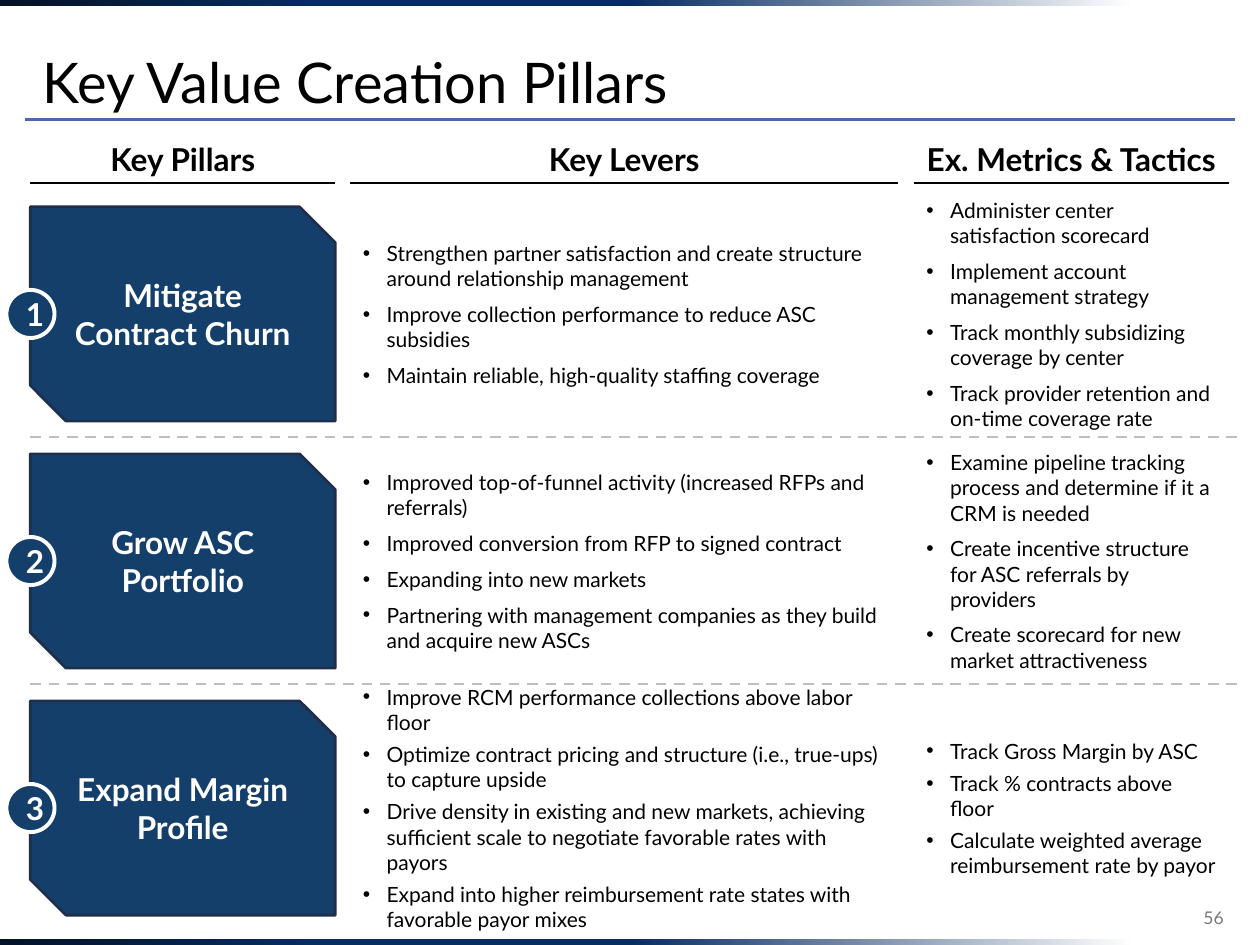
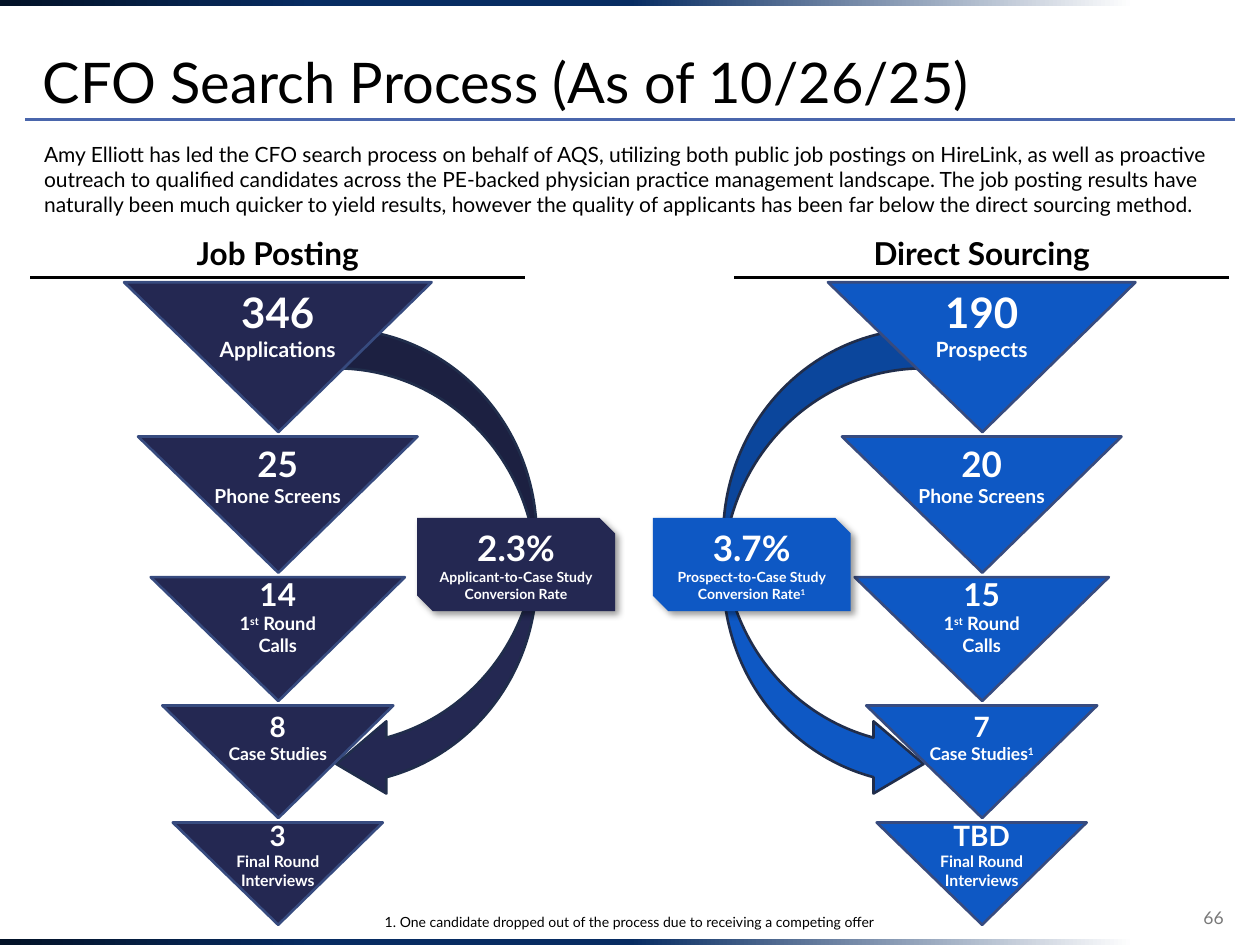
from copy import deepcopy
from dataclasses import dataclass

from pptx import Presentation
from pptx.dml.color import RGBColor
from pptx.enum.dml import MSO_LINE
from pptx.enum.shapes import MSO_CONNECTOR, MSO_SHAPE as SHAPE
from pptx.enum.text import MSO_ANCHOR as ANCHOR, MSO_AUTO_SIZE, PP_ALIGN as ALIGN
from pptx.oxml import parse_xml
from pptx.oxml.ns import nsdecls, qn
from pptx.util import Cm, Pt


@dataclass(frozen=True)
class Theme:
    font: str = "Lato"
    # Colours
    ink: str = "000000"
    white: str = "FFFFFF"
    muted: str = "797979"
    dash: str = "BFBFBF"
    rule: str = "4A66AC"
    edge: str = "202D4B"
    funnel_edge: str = "374B7F"
    pillar: str = "143F6A"
    navy: str = "242852"
    blue: str = "0E58C4"
    # Band stops: percent and colour, left to right
    band: tuple = ((0, "031227"), (25, "072C62"), (50, "072C62"), (90, "FFFFFF"))
    # Type sizes
    title: float = 32
    heading: float = 18
    body: float = 12
    number: float = 10
    note: float = 8
    rate: float = 20


def rgb(code):
    return RGBColor.from_string(code)


def write(tf, lines, *, font, size, color, lead=None, bold=False, align=ALIGN.LEFT,
          anchor=ANCHOR.MIDDLE, gap=0, hang=0, spacing=1.0):
    """Fill a text frame; ^x^ is superscript, lead is the size of the first line."""
    tf.auto_size = MSO_AUTO_SIZE.NONE
    tf.word_wrap = True
    tf.vertical_anchor = anchor
    for i, line in enumerate(lines):
        p = tf.add_paragraph() if i else tf.paragraphs[0]
        if hang:
            pPr = p._p.get_or_add_pPr()
            pPr.set("marL", str(Cm(hang)))
            pPr.set("indent", str(-Cm(hang)))
        p.alignment = align
        p.line_spacing = spacing
        p.space_before = Pt(gap if i else 0)
        p.space_after = Pt(gap)
        for j, part in enumerate(line.split("^")):
            if not part:
                continue
            r = p.add_run()
            r.text = part
            r.font.name = font
            r.font.size = Pt(lead if lead and i == 0 else size)
            r.font.bold = bold
            r.font.color.rgb = rgb(color)
            if j % 2:
                r._r.get_or_add_rPr().set("baseline", "30000")


class Deck:
    def __init__(self, theme):
        self.t = theme
        self.prs = Presentation()
        self.prs.slide_width, self.prs.slide_height = Cm(25.4), Cm(19.05)
        self.slide = None

    def new_slide(self, layout, title, number):
        t = self.t
        first = self.slide is None
        self.slide = self.prs.slides.add_slide(layout)
        if first:
            self.furnish_master()
        sp = self.slide.shapes.title
        self.place(sp, 0.61, 0.61, 24.16, 1.85)
        write(sp.text_frame, [title], font=t.font, size=t.title, color=t.ink,
              anchor=ANCHOR.BOTTOM, spacing=0.9)
        self.text(20.75, 17.98, 4.17, 1.02, [number], size=t.number,
                  color=t.muted, align=ALIGN.RIGHT)

    def furnish_master(self):
        """Draw the title rule and the two bands, then move them to the master."""
        items = [self.line(0.51, 2.41, 24.89, 2.41, self.t.rule),
                 self.band(0), self.band(18.92)]
        for n, item in enumerate(items):
            el = item._element
            el.xpath(".//p:cNvPr")[0].set("id", str(100 + n))
            self.prs.slide_master.shapes._spTree.append(el)

    def list_layout(self, count):
        """Give the title-and-content layout as many bodies as there are lists."""
        layout = self.prs.slide_layouts[1]
        body = layout.placeholders[1]._element
        for n in range(20, 19 + count):
            twin = deepcopy(body)
            twin.xpath(".//p:ph")[0].set("idx", str(n))
            twin.xpath(".//p:cNvPr")[0].set("id", str(n))
            layout.shapes._spTree.append(twin)
        return layout

    @staticmethod
    def place(sp, x, y, w, h):
        sp.left, sp.top, sp.width, sp.height = Cm(x), Cm(y), Cm(w), Cm(h)

    def shape(self, kind, x, y, w, h, fill, edge=None, weight=1.5, adj=()):
        sp = self.slide.shapes.add_shape(kind, Cm(x), Cm(y), Cm(w), Cm(h))
        sp.shadow.inherit = False
        sp.fill.solid()
        sp.fill.fore_color.rgb = rgb(fill)
        if edge:
            sp.line.color.rgb = rgb(edge)
            sp.line.width = Pt(weight)
        else:
            sp.line.fill.background()
        for i, value in enumerate(adj):
            sp.adjustments[i] = value
        return sp

    def label(self, sp, lines, **fmt):
        """Bold white centred text in a shape."""
        base = dict(font=self.t.font, size=self.t.heading, color=self.t.white,
                    bold=True, align=ALIGN.CENTER)
        write(sp.text_frame, lines, **{**base, **fmt})

    def text(self, x, y, w, h, lines, **fmt):
        sp = self.slide.shapes.add_textbox(Cm(x), Cm(y), Cm(w), Cm(h))
        base = dict(font=self.t.font, size=self.t.body, color=self.t.ink)
        write(sp.text_frame, lines, **{**base, **fmt})
        return sp

    def bullets(self, sp, x, y, w, h, lines, gap):
        self.place(sp, x, y, w, h)
        write(sp.text_frame, lines, font=self.t.font, size=self.t.body,
              color=self.t.ink, gap=gap, hang=0.48)

    def line(self, x1, y1, x2, y2, color, dash=None):
        ln = self.slide.shapes.add_connector(
            MSO_CONNECTOR.STRAIGHT, Cm(x1), Cm(y1), Cm(x2), Cm(y2))
        ln.line.color.rgb = rgb(color)
        ln.line.width = Pt(1.5)
        if dash:
            ln.line.dash_style = dash
        ln._element.spPr.append(parse_xml(f"<a:effectLst {nsdecls('a')}/>"))
        return ln

    def band(self, y):
        sp = self.shape(SHAPE.RECTANGLE, 0, y, 25.4, 0.13, self.t.white)
        stops = "".join(f'<a:gs pos="{pos * 1000}"><a:srgbClr val="{c}"/></a:gs>'
                        for pos, c in self.t.band)
        spPr = sp._element.spPr
        spPr.replace(spPr.find(qn("a:solidFill")), parse_xml(
            f"<a:gradFill {nsdecls('a')}><a:gsLst>{stops}</a:gsLst>"
            '<a:lin ang="0" scaled="0"/></a:gradFill>'))
        return sp

    def header(self, x, y, w, words):
        """Underlined column heading; the text may run a little past the rule."""
        self.text(x - 0.33, y, w + 0.66, 1.27, [words], size=self.t.heading,
                  bold=True, align=ALIGN.CENTER)
        self.line(x, y + 1.12, x + w, y + 1.12, self.t.ink)

    def funnel(self, center, fill, steps):
        """Stack of down-pointing triangles, each 10/11 the size of the one above."""
        w, h, y = 6.2, 3.02, 5.69
        for (lines, lead, size), (lw, lh) in zip(steps, LABEL_SIZES):
            sp = self.shape(SHAPE.ISOSCELES_TRIANGLE, center - w / 2, y, w, h,
                            fill, self.t.funnel_edge, adj=[0.498])
            sp.rotation = 180
            self.text(center - lw / 2, y, lw, lh, lines, lead=lead, size=size,
                      color=self.t.white, bold=True, align=ALIGN.CENTER)
            y += h + 0.09
            w, h = w / 1.1, h / 1.1

    def arrow(self, x, fill, flip):
        sp = self.shape(SHAPE.CURVED_LEFT_ARROW, x, 6.63, 4.04, 9.5, fill,
                        self.t.edge, adj=[0.197, 0.36, 0.25])
        if flip:
            sp._element.spPr.find(qn("a:xfrm")).set("flipH", "1")

    def rate_badge(self, x, fill, lines):
        sp = self.shape(SHAPE.SNIP_2_DIAG_RECTANGLE, x, 10.44, 3.99, 1.88, fill)
        sp._element.spPr.find(qn("a:effectLst")).append(parse_xml(
            f'<a:outerShdw {nsdecls("a")} blurRad="{Pt(4)}" dist="{Pt(3)}" '
            'dir="2700000" algn="tl" rotWithShape="0"><a:srgbClr val="000000">'
            '<a:alpha val="40000"/></a:srgbClr></a:outerShdw>'))
        self.label(sp, lines, lead=self.t.rate, size=self.t.note)


# Columns of the pillar slide: heading, left, width
COLUMNS = [("Key Pillars", 0.61, 6.15), ("Key Levers", 7.06, 11.05),
           ("Ex. Metrics & Tactics", 18.42, 6.35)]

# Pillar, paragraph gap, levers, metrics
PILLARS = [
    ("Mitigate Contract Churn", 3,
     ["Strengthen partner satisfaction and create structure around relationship management",
      "Improve collection performance to reduce ASC subsidies",
      "Maintain reliable, high-quality staffing coverage"],
     ["Administer center satisfaction scorecard",
      "Implement account management strategy",
      "Track monthly subsidizing coverage by center",
      "Track provider retention and on-time coverage rate"]),
    ("Grow ASC Portfolio", 3,
     ["Improved top-of-funnel activity (increased RFPs and referrals)",
      "Improved conversion from RFP to signed contract",
      "Expanding into new markets",
      "Partnering with management companies as they build and acquire new ASCs"],
     ["Examine pipeline tracking process and determine if it a CRM is needed",
      "Create incentive structure for ASC referrals by providers",
      "Create scorecard for new market attractiveness"]),
    ("Expand Margin Profile", 2,
     ["Improve RCM performance collections above labor floor",
      "Optimize contract pricing and structure (i.e., true-ups) to capture upside",
      "Drive density in existing and new markets, achieving sufficient scale to "
      "negotiate favorable rates with payors",
      "Expand into higher reimbursement rate states with favorable payor mixes"],
     ["Track Gross Margin by ASC",
      "Track % contracts above floor",
      "Calculate weighted average reimbursement rate by payor"]),
]

INTRO = ("Amy Elliott has led the CFO search process on behalf of AQS, utilizing both "
         "public job postings on HireLink, as well as proactive outreach to qualified "
         "candidates across the PE-backed physician practice management landscape. The "
         "job posting results have naturally been much quicker to yield results, however "
         "the quality of applicants has been far below the direct sourcing method.")

# Funnel labels, top to bottom: width and height, then number and caption sizes
LABEL_SIZES = [(3.58, 1.7), (3.25, 1.55), (3.25, 1.55), (2.95, 1.27), (2.69, 1.27)]
LABEL_TYPE = [(24, 12), (20, 11), (18, 10.5), (16, 10), (16, 9)]


def funnel_steps(numbers, first, case):
    captions = [[first], ["Phone Screens"], ["1^st^ Round", "Calls"], [case],
                ["Final Round Interviews"]]
    return [([n, *c], lead, size)
            for n, c, (lead, size) in zip(numbers, captions, LABEL_TYPE)]


def pillar_slide(d):
    t = d.t
    d.new_slide(d.list_layout(2 * len(PILLARS)), "Key Value Creation Pillars", "56")
    for words, x, w in COLUMNS:
        d.header(x, 2.57, w, words)

    bodies = iter(list(d.slide.placeholders)[1:])
    top, pitch, h, dot = 4.17, 4.98, 4.32, 0.97
    for i, (name, gap, *lists) in enumerate(PILLARS):
        y = top + i * pitch
        if i:
            d.line(0.61, y - 0.34, 24.99, y - 0.34, t.dash, MSO_LINE.DASH)
        (_, x, w), *list_columns = COLUMNS
        d.label(d.shape(SHAPE.SNIP_2_DIAG_RECTANGLE, x, y, w, h, t.pillar, t.edge), [name])
        d.label(d.shape(SHAPE.OVAL, 0.13, y + (h - dot) / 2, dot, dot, t.pillar,
                        t.white, 2.25), [str(i + 1)])
        for (_, x, w), lines in zip(list_columns, lists):
            d.bullets(next(bodies), x, y, w, h, lines, gap)


def search_slide(d):
    t = d.t
    d.new_slide(d.prs.slide_layouts[5], "CFO Search Process (As of 10/26/25)", "66")
    d.text(0.64, 2.72, 24.13, 1.8, [INTRO], anchor=ANCHOR.TOP)

    # Heading, rule left, colour, arrow left, mirrored, funnel
    sides = [
        ("Job Posting", 0.61, t.navy, 6.78, False,
         funnel_steps(["346", "25", "14", "8", "3"], "Applications", "Case Studies")),
        ("Direct Sourcing", 14.8, t.blue, 14.58, True,
         funnel_steps(["190", "20", "15", "7", "TBD"], "Prospects", "Case Studies^1^")),
    ]
    for words, x, fill, arrow_x, flip, steps in sides:
        d.arrow(arrow_x, fill, flip)
        d.header(x, 4.47, 9.98, words)
        d.funnel(x + 4.99, fill, steps)

    d.text(7.06, 18.29, 11.28, 0.61, size=t.note, align=ALIGN.CENTER, anchor=ANCHOR.TOP,
           lines=["1. One candidate dropped out of the process due to receiving a competing offer"])
    d.rate_badge(8.41, t.navy, ["2.3%", "Applicant-to-Case Study Conversion Rate"])
    d.rate_badge(13.16, t.blue, ["3.7%", "Prospect-to-Case Study Conversion Rate^1^"])


def main():
    d = Deck(Theme())
    pillar_slide(d)
    search_slide(d)
    d.prs.save("out.pptx")


if __name__ == "__main__":
    main()
